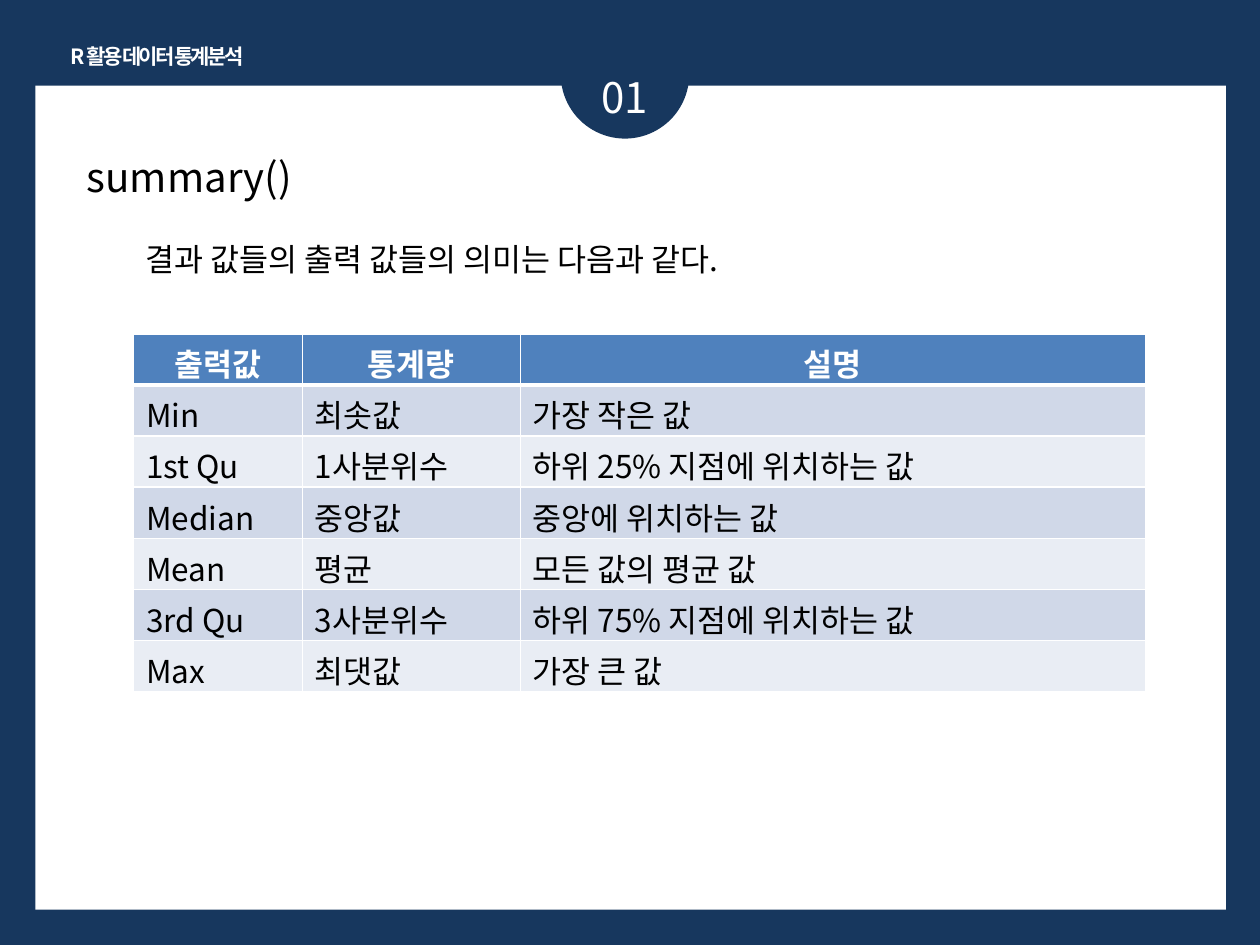
from lxml import etree
from pptx import Presentation
from pptx.dml.color import RGBColor
from pptx.enum.shapes import MSO_SHAPE
from pptx.enum.text import MSO_AUTO_SIZE, PP_ALIGN
from pptx.oxml.ns import qn
from pptx.util import Inches, Pt

RECT, OVAL = MSO_SHAPE.RECTANGLE, MSO_SHAPE.OVAL
LEFT, CENTER = PP_ALIGN.LEFT, PP_ALIGN.CENTER
GROW = MSO_AUTO_SIZE.SHAPE_TO_FIT_TEXT
FONT = "Noto Sans CJK KR"
COLORS = {
    "navy": "17375E", "white": "FFFFFF", "black": "000000",
    "head": "4F81BD", "odd": "D0D8E8", "even": "E9EDF4",
}
COLS = [1.34, 1.73, 4.96]
ROWS = [
    ("출력값", "통계량", "설명"),
    ("Min", "최솟값", "가장 작은 값"),
    ("1st Qu", "1사분위수", "하위 25% 지점에 위치하는 값"),
    ("Median", "중앙값", "중앙에 위치하는 값"),
    ("Mean", "평균", "모든 값의 평균 값"),
    ("3rd Qu", "3사분위수", "하위 75% 지점에 위치하는 값"),
    ("Max", "최댓값", "가장 큰 값"),
]


def paint(fill, color):
    fill.solid()
    fill.fore_color.rgb = RGBColor.from_string(COLORS[color])


def add_run(para, text, size, color, bold=False, gap=None):
    run = para.add_run()
    run.text = text
    font = run.font
    font.size, font.bold, font.name = Pt(size), bold, FONT
    font.color.rgb = RGBColor.from_string(COLORS[color])
    props = run._r.get_or_add_rPr()
    etree.SubElement(props, qn("a:ea")).set("typeface", FONT)
    if gap is not None:
        props.set("spc", str(int(gap * 100)))


def add_shape(slide, kind, box, color):
    shape = slide.shapes.add_shape(kind, *map(Inches, box))
    shape.shadow.inherit = False
    paint(shape.fill, color)
    shape.line.fill.background()


def add_text(slide, box, text, size, color, align=LEFT, wrap=True, **style):
    frame = slide.shapes.add_textbox(*map(Inches, box)).text_frame
    frame.word_wrap = wrap
    frame.auto_size = GROW
    para = frame.paragraphs[0]
    para.alignment = align
    add_run(para, text, size, color, **style)


def add_edges(cell, top, bottom):
    props = cell._tc.get_or_add_tcPr()
    sides = {"L": 1, "R": 1, "T": top, "B": bottom}
    for spot, (side, width) in enumerate(sides.items()):
        line = etree.Element(qn(f"a:ln{side}"), w=str(Pt(width)))
        fill = etree.SubElement(line, qn("a:solidFill"))
        etree.SubElement(fill, qn("a:srgbClr")).set("val", COLORS["white"])
        props.insert(spot, line)


def add_frame(slide, box):
    """White page with its section number and course name."""
    x, y, w, h = box
    add_shape(slide, RECT, box, "white")
    add_shape(slide, OVAL, (x + 4.17, y - 0.6, 1.02, 1.02), "navy")
    add_text(slide, (x + 0.1, y - 0.38, 1.73, 0.3), "R 활용 데이터 통계분석",
             12, "white", CENTER, wrap=False, bold=True, gap=-1.5)
    add_text(slide, (x + 4.09, y - 0.16, 1.18, 0.5), "01", 24, "white", CENTER)


def add_intro(slide, box):
    """Function name and the lead sentence."""
    x, y, w, h = box
    add_text(slide, (x + 0.47, y + 0.7, 7.87, 0.4),
             "결과 값들의 출력 값들의 의미는 다음과 같다.", 18, "black")
    add_text(slide, (x, y, w, 0.49), "summary()", 23, "black")


def add_stats(slide, box):
    """Table of output values."""
    shape = slide.shapes.add_table(len(ROWS), len(COLS), *map(Inches, box))
    table = shape.table
    for col, width in zip(table.columns, COLS):
        col.width = Inches(width)
    for r, words in enumerate(ROWS):
        head = r == 0
        table.rows[r].height = Inches(box[3] / len(ROWS))
        for c, word in enumerate(words):
            cell = table.cell(r, c)
            paint(cell.fill, "head" if head else "odd" if r % 2 else "even")
            add_edges(cell, 3 if r == 1 else 1, 3 if head else 1)
            para = cell.text_frame.paragraphs[0]
            para.alignment = CENTER if head else LEFT
            add_run(para, word, 18, "white" if head else "black", head)


def main():
    deck = Presentation()
    deck.slide_width, deck.slide_height = Inches(10), Inches(7.5)
    slide = deck.slides.add_slide(deck.slide_layouts[6])
    paint(slide.background.fill, "navy")
    add_frame(slide, (0.28, 0.68, 9.45, 6.54))
    add_intro(slide, (0.59, 1.16, 8.74, 1.1))
    add_stats(slide, (1.06, 2.65, sum(COLS), 2.84))
    deck.save("out.pptx")


if __name__ == "__main__":
    main()
